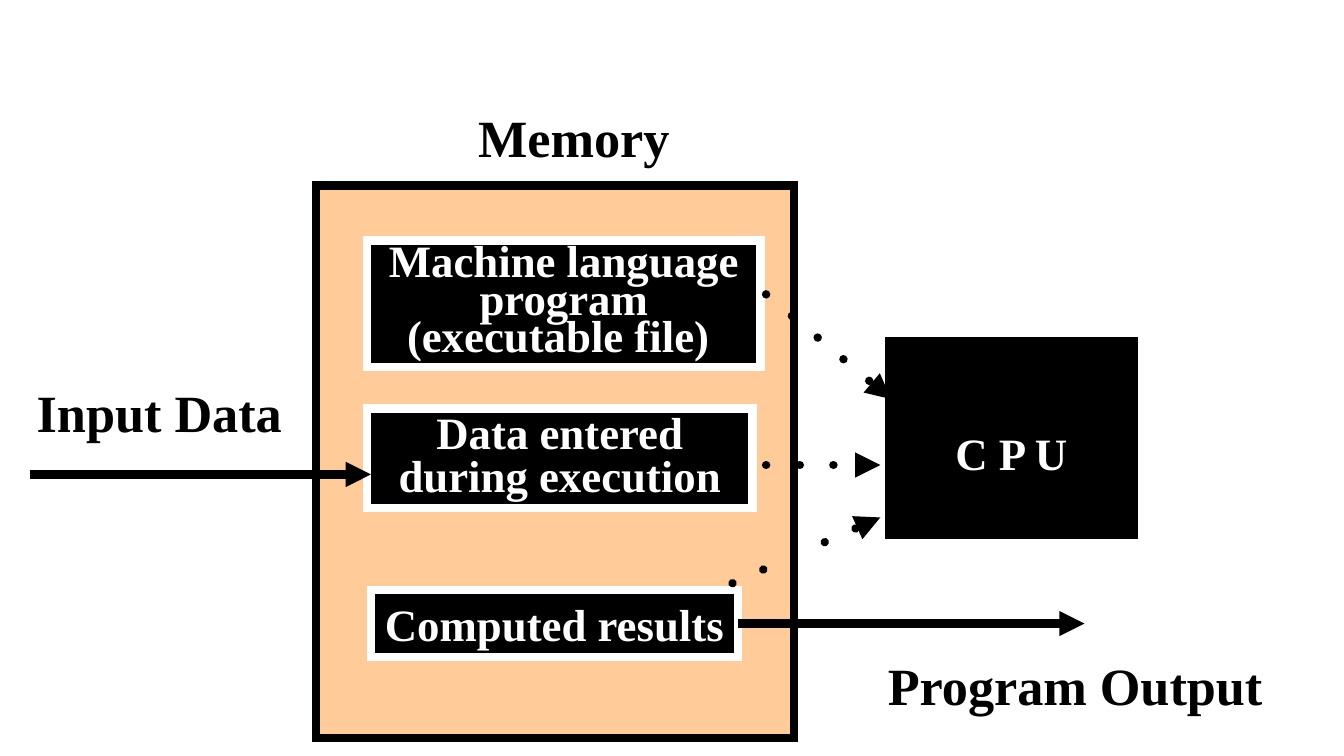
from pptx import Presentation
from pptx.dml.color import RGBColor
from pptx.enum import shapes as es, text as et
from pptx.oxml import ns, xmlchemy as xc
from pptx.util import Inches, Pt

BLACK = RGBColor(0x00, 0x00, 0x00)
WHITE = RGBColor(0xFF, 0xFF, 0xFF)
PEACH = RGBColor(0xFF, 0xCC, 0x99)
FONT = "Times New Roman"
WIDTH = Pt(4.5)


def write(shape, words, size, color, space=1.0):
    frame = shape.text_frame
    frame.text = words
    frame.vertical_anchor = et.MSO_ANCHOR.MIDDLE
    para = frame.paragraphs[0]
    para.alignment = et.PP_ALIGN.CENTER
    para.line_spacing = space
    font = para.runs[0].font
    font.name = FONT
    font.size = Pt(size)
    font.bold = True
    font.color.rgb = color


def add(parent, tag, **values):
    child = xc.OxmlElement(tag)
    for name, value in values.items():
        child.set(name, value)
    parent.append(child)


def label(slide, words, *place):
    shape = slide.shapes.add_textbox(*map(Inches, place))
    write(shape, words, 28, BLACK)
    shape.text_frame.word_wrap = False


def box(slide, fill, edge, *place):
    shape = slide.shapes.add_shape(es.MSO_SHAPE.RECTANGLE, *map(Inches, place))
    shape.shadow.inherit = False
    shape.fill.solid()
    shape.fill.fore_color.rgb = fill
    shape.line.color.rgb = edge
    shape.line.width = WIDTH
    add(shape._element.spPr.find(ns.qn("a:ln")), "a:miter", lim="800000")
    return shape


def block(slide, words, space, *place):
    shape = box(slide, BLACK, WHITE, *place)
    write(shape, words, 24, WHITE, space)
    shape.text_frame.word_wrap = True
    return shape


def arrow(slide, start, end, dotted=False):
    line = slide.shapes.add_connector(
        es.MSO_CONNECTOR.STRAIGHT, *map(Inches, start + end))
    line.line.color.rgb = BLACK
    line.line.width = WIDTH
    props = line._element.spPr
    edge = props.find(ns.qn("a:ln"))
    if dotted:
        edge.set("cap", "rnd")
        add(edge, "a:prstDash", val="dot")
    add(edge, "a:tailEnd", type="triangle")
    add(props, "a:effectLst")
    return line


def main():
    deck = Presentation()
    deck.slide_width = Inches(10)
    deck.slide_height = Inches(45 / 8)
    slide = deck.slides.add_slide(deck.slide_layouts[6])

    label(slide, "Memory", 3.46, 0.73, 1.62, 0.57)
    label(slide, "Input Data", 0.17, 2.78, 2.03, 0.57)
    label(slide, "Program Output", 6.5, 4.81, 3, 0.57)

    box(slide, PEACH, BLACK, 2.35, 1.38, 3.56, 4.11)
    block(slide, "Machine language program (executable file) ", 0.7,
          2.73, 1.79, 2.93, 0.94)
    block(slide, "Data entered during execution", 0.8, 2.73, 3.04, 2.87, 0.74)
    result = block(slide, "Computed results", 1.0, 2.76, 4.39, 2.73, 0.5)
    cpu = block(slide, "C P U", 0.8, 6.55, 2.48, 1.95, 1.56)
    cpu.text_frame.margin_top = Inches(0.34)

    arrow(slide, (0.22, 3.53), (2.76, 3.53))
    output = arrow(slide, (5.49, 4.64), (8.07, 4.64))
    output.begin_connect(result, 3)
    for start, end in (((5.7, 2.19), (6.63, 2.97)),
                       ((5.7, 3.46), (6.55, 3.46)),
                       ((5.45, 4.34), (6.55, 3.85))):
        arrow(slide, start, end, dotted=True)

    deck.save("out.pptx")


if __name__ == "__main__":
    main()
